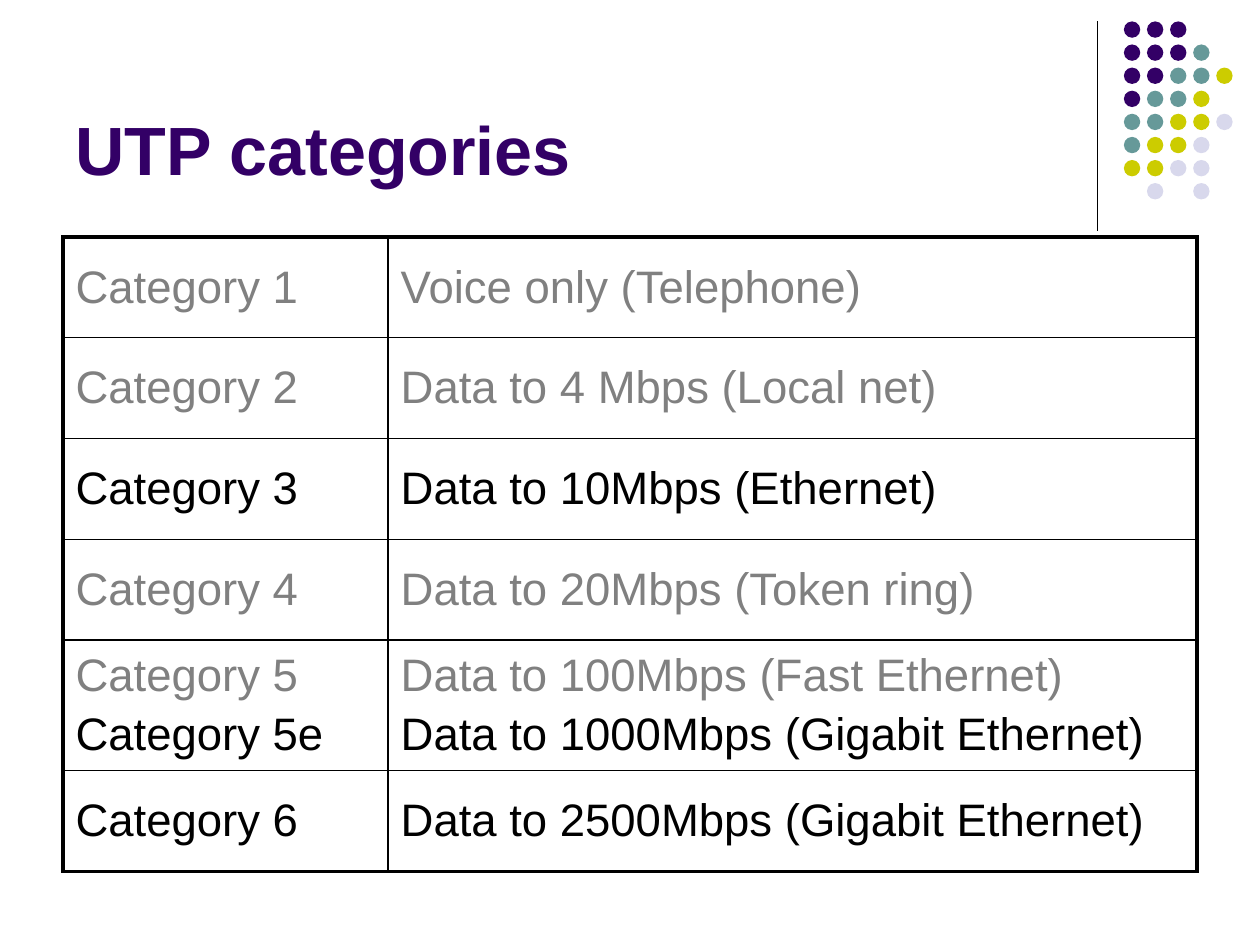
import pptx
import pptx.util
import pptx.dml.color
import pptx.enum.shapes
import pptx.enum.text
import pptx.oxml
import pptx.oxml.ns

Inches, Pt = pptx.util.Inches, pptx.util.Pt

COLORS = {
    "purple": "330066",
    "teal": "669999",
    "olive": "CCCC00",
    "lavender": "D8D8EC",
    "gray": "808080",
    "black": "000000",
}
DOT_COLORS = {"P": "purple", "T": "teal", "O": "olive", "L": "lavender"}
DOT_ROWS = ["PPP", "PPPT", "PPTTO", "PTTO", "TTOOL", "TOOL", "OOLL", " L L"]
CATEGORIES = [
    [("Category 1", "Voice only (Telephone)", "gray")],
    [("Category 2", "Data to 4 Mbps (Local net)", "gray")],
    [("Category 3", "Data to 10Mbps (Ethernet)", "black")],
    [("Category 4", "Data to 20Mbps (Token ring)", "gray")],
    [
        ("Category 5", "Data to 100Mbps (Fast Ethernet)", "gray"),
        ("Category 5e", "Data to 1000Mbps (Gigabit Ethernet)", "black"),
    ],
    [("Category 6", "Data to 2500Mbps (Gigabit Ethernet)", "black")],
]


class SlideBuilder:
    """Holds the style and the current slide, and draws its elements."""

    font = "Arial"
    title_size = 39
    cell_size = 26
    thin, thick = 1, 2.25

    def __init__(self, prs):
        self.s = prs.slides.add_slide(prs.slide_layouts[6])

    def rgb(self, name):
        return pptx.dml.color.RGBColor.from_string(COLORS[name])

    def style(self, p, size, color, bold=False):
        p.font.name = self.font
        p.font.size = Pt(size)
        p.font.bold = bold
        p.font.color.rgb = self.rgb(color)

    def rule(self, x, top, bottom):
        line = self.s.shapes.add_connector(
            pptx.enum.shapes.MSO_CONNECTOR.STRAIGHT,
            Inches(x), Inches(top), Inches(x), Inches(bottom))
        line.line.color.rgb = self.rgb("black")
        line.line.width = Pt(0.75)
        line._element.spPr.append(pptx.oxml.parse_xml(
            f"<a:effectLst {pptx.oxml.ns.nsdecls('a')}/>"))

    def dots(self, left, top, size, pitch):
        for row, codes in enumerate(DOT_ROWS):
            for col, code in enumerate(codes):
                if code == " ":
                    continue
                dot = self.s.shapes.add_shape(
                    pptx.enum.shapes.MSO_SHAPE.OVAL,
                    Inches(left + col * pitch), Inches(top + row * pitch),
                    Inches(size), Inches(size))
                dot.shadow.inherit = False
                dot.fill.solid()
                dot.fill.fore_color.rgb = self.rgb(DOT_COLORS[code])
                dot.line.fill.background()

    def title(self, text, x, y, w, h):
        tf = self.s.shapes.add_textbox(
            Inches(x), Inches(y), Inches(w), Inches(h)).text_frame
        tf.word_wrap = True
        tf.vertical_anchor = pptx.enum.text.MSO_ANCHOR.BOTTOM
        p = tf.paragraphs[0]
        p.text = text
        self.style(p, self.title_size, "purple", bold=True)

    def borders(self, cell, **widths):
        tc_pr = cell._tc.get_or_add_tcPr()
        for i, (side, width) in enumerate(widths.items()):
            tc_pr.insert(i, pptx.oxml.parse_xml(
                f"<a:ln{side} {pptx.oxml.ns.nsdecls('a')} w=\"{Pt(width)}\">"
                f"<a:solidFill><a:srgbClr val=\"{COLORS['black']}\"/></a:solidFill>"
                f"</a:ln{side}>"))

    def cell(self, cell, lines):
        cell.fill.background()
        cell.vertical_anchor = pptx.enum.text.MSO_ANCHOR.MIDDLE
        tf = cell.text_frame
        for i, (text, color) in enumerate(lines):
            p = tf.add_paragraph() if i else tf.paragraphs[0]
            p.text = text
            p.space_before = Pt(5 if i else 0)
            self.style(p, self.cell_size, color)

    def table(self, rows, x, y, widths, heights):
        table = self.s.shapes.add_table(
            len(rows), len(widths), Inches(x), Inches(y),
            Inches(sum(widths)), Inches(sum(heights))).table
        table.first_row = table.horz_banding = False
        for column, width in zip(table.columns, widths):
            column.width = Inches(width)
        last_row, last_col = len(rows) - 1, len(widths) - 1
        for r, entries in enumerate(rows):
            table.rows[r].height = Inches(heights[r])
            for c in range(len(widths)):
                cell = table.cell(r, c)
                self.cell(cell, [(entry[c], entry[-1]) for entry in entries])
                self.borders(
                    cell,
                    L=self.thick if c == 0 else self.thin,
                    R=self.thick if c == last_col else self.thin,
                    T=self.thick if r == 0 else self.thin,
                    B=self.thick if r == last_row else self.thin)


def main():
    prs = pptx.Presentation()
    prs.slide_width, prs.slide_height = Inches(10), Inches(7.5)
    slide = SlideBuilder(prs)
    slide.rule(8.71, 0.17, 1.83)
    slide.dots(8.92, 0.17, size=0.13, pitch=0.55 / 3)
    slide.title("UTP categories", 0.5, 0.13, 8.25, 1.42)
    heights = [0.98 if len(entries) > 1 else 0.8 for entries in CATEGORIES]
    slide.table(CATEGORIES, 0.5, 1.88, [2.58, 6.42], heights)
    prs.save("out.pptx")


if __name__ == "__main__":
    main()
